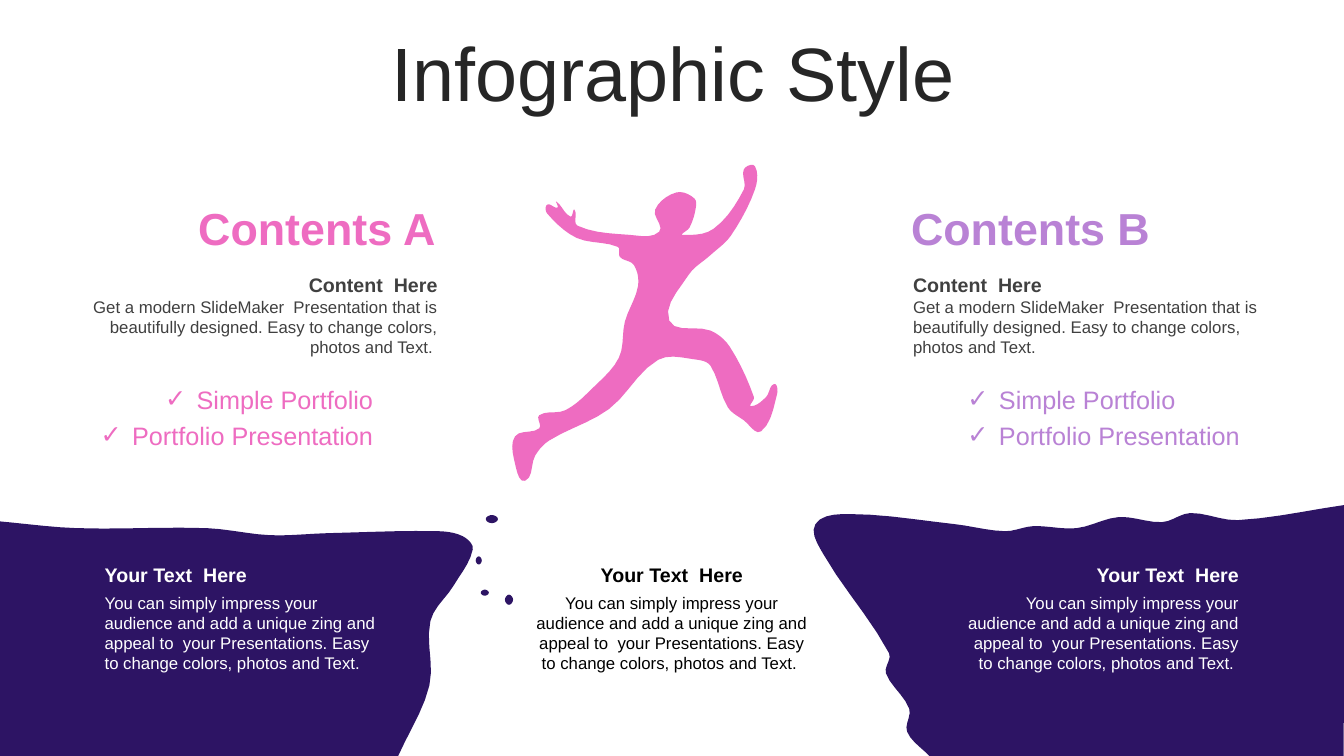
from math import hypot

from lxml import etree
from pptx import Presentation
from pptx.dml.color import RGBColor
from pptx.enum.text import MSO_ANCHOR, PP_ALIGN
from pptx.oxml.ns import qn
from pptx.util import Pt

LEFT, CENTER, RIGHT = PP_ALIGN.LEFT, PP_ALIGN.CENTER, PP_ALIGN.RIGHT
TOP, MIDDLE = MSO_ANCHOR.TOP, MSO_ANCHOR.MIDDLE
FONT = "Arial"
COLORS = {"title": "262626", "body": "404040", "pink": "EE6CC1", "lilac": "B982D5",
          "cliff": "2D1464", "white": "FFFFFF", "black": "000000"}

# Content
TITLE = "Infographic Style"
CONTENT_HEADING = "Content  Here"
CONTENT_TEXT = ("Get a modern SlideMaker  Presentation that is beautifully designed. "
                "Easy to change colors, photos and Text. ")
FOOT_HEADING = "Your Text  Here"
FOOT_TEXT = ("You can simply impress your audience and add a unique zing and appeal to  "
             "your Presentations. Easy to change colors, photos and Text. ")
CHECKS = ["Simple Portfolio", "Portfolio Presentation"]
# name, colour, alignment, then (left, width) of name, text and check list
SIDES = [
    ("Contents A", "pink", RIGHT, (103, 215.3), (42.5, 277.2), (-2.2, 275.8)),
    ("Contents B", "lilac", LEFT, (643.7, 223.2), (645.1, 272.2), (684, 275.8)),
]
FOOT_COLUMNS = [(LEFT, "white"), (CENTER, "black"), (RIGHT, "white")]

# Outlines, in units of 0.72 pt
UNIT = 0.72
RIGHT_CLIFF = [
    (922, 750), (900, 726), (902, 703), (879, 668), (882, 648), (817, 550), (809, 520),
    (842, 510), (947, 520), (997, 527), (1025, 522), (1068, 524), (1110, 513),
    (1153, 518), (1181, 509), (1228, 516), (1334, 501)]
RIGHT_CORNERS = [(1333, 753)]
LEFT_CLIFF = [
    (-3, 517), (76, 524), (205, 524), (268, 531), (325, 529), (434, 527), (459, 532),
    (469, 545), (450, 581), (427, 616), (426, 680), (395, 750)]
LEFT_CORNERS = [(-1, 750)]
JUMPER = [
    # open hand, arm, head
    (543, 212), (543, 203), (553, 206), (552, 200), (566, 215), (570, 208), (573, 224),
    (624, 233), (654, 230), (650, 208), (671, 191), (689, 197), (690, 208), (684, 226),
    (677, 233),
    # fist and sleeve
    (708, 227), (738, 188), (738, 168), (749, 165), (749, 188), (725, 234), (705, 253),
    (683, 273), (664, 318),
    # front leg and shoe
    (705, 328), (724, 344), (748, 394), (745, 403), (760, 394), (768, 381), (771, 391),
    (755, 428), (738, 417), (722, 404), (705, 363), (692, 357),
    # back leg and shoe
    (653, 357), (604, 406), (545, 437), (531, 452), (521, 477), (511, 460), (511, 433),
    (535, 425), (535, 412), (561, 407), (587, 386), (614, 355), (620, 319),
    # back, sleeve, arm
    (633, 284), (629, 263), (615, 255), (613, 245), (572, 236)]
# centre, half width, half height
PEBBLES = [(505, 595, 4, 5), (481, 588, 4, 3), (475, 556, 3, 4), (488, 515, 6, 4)]


def smooth(points, closed=True, steps=5):
    """Points along a cubic curve that passes through every given point."""
    count = len(points)

    def neighbour(index):
        return points[index % count] if closed else points[min(max(index, 0), count - 1)]

    def direction(index):
        (x1, y1), (x2, y2) = neighbour(index - 1), neighbour(index + 1)
        length = hypot(x2 - x1, y2 - y1) or 1
        return (x2 - x1) / length, (y2 - y1) / length

    curve = [points[0]]
    for index in range(count if closed else count - 1):
        start, end = points[index], neighbour(index + 1)
        reach = hypot(end[0] - start[0], end[1] - start[1]) / 3
        leave, arrive = direction(index), direction(index + 1)
        for step in range(1, steps + 1):
            t = step / steps
            u = 1 - t
            curve.append(tuple(
                u**3 * a + 3 * u * u * t * (a + reach * d) + 3 * u * t * t * (b - reach * e) + t**3 * b
                for a, b, d, e in zip(start, end, leave, arrive)))
    return curve


def add_outline(contours, color):
    scaled = [[(Pt(x * UNIT), Pt(y * UNIT)) for x, y in contour] for contour in contours]
    builder = slide.shapes.build_freeform(*scaled[0][0])
    for number, contour in enumerate(scaled):
        if number:
            builder.move_to(*contour[0])
        builder.add_line_segments(contour[1:], close=True)
    shape = builder.convert_to_shape()
    shape.shadow.inherit = False
    shape.fill.solid()
    shape.fill.fore_color.rgb = RGBColor.from_string(COLORS[color])
    shape.line.fill.background()


def add_text(text, box, size, color, align=LEFT, bold=False, anchor=TOP, spacing=None, check=False):
    frame = slide.shapes.add_textbox(*(Pt(length) for length in box)).text_frame
    frame.word_wrap = True
    frame.vertical_anchor = anchor
    paragraph = frame.paragraphs[0]
    if check:
        properties = paragraph._p.get_or_add_pPr()
        properties.set("marL", str(Pt(22.5)))
        properties.set("indent", str(Pt(-22.5)))
        etree.SubElement(properties, qn("a:buFont")).set("typeface", FONT)
        etree.SubElement(properties, qn("a:buChar")).set("char", "✓")
    paragraph.alignment = align
    if spacing:
        paragraph.line_spacing = spacing
    run = paragraph.add_run()
    run.text = text
    run.font.name, run.font.size, run.font.bold = FONT, Pt(size), bold
    run.font.color.rgb = RGBColor.from_string(COLORS[color])


presentation = Presentation()
presentation.slide_width, presentation.slide_height = Pt(960), Pt(540)
slide = presentation.slides.add_slide(presentation.slide_layouts[6])

# Title
add_text(TITLE, (25.2, 26.6, 911.5, 56.9), 54, "title", CENTER, anchor=MIDDLE, spacing=0.9)

# Cliffs, jumper and falling pebbles
add_outline([smooth(RIGHT_CLIFF, closed=False) + RIGHT_CORNERS], "cliff")
add_outline([smooth(LEFT_CLIFF, closed=False) + LEFT_CORNERS], "cliff")
add_outline([smooth(JUMPER)], "pink")
add_outline([smooth([(x - w, y), (x, y - h), (x + w, y), (x, y + h)])
             for x, y, w, h in PEBBLES], "cliff")

# Texts along the foot
for column, (align, color) in enumerate(FOOT_COLUMNS):
    left = 67.7 + column * 305.3
    add_text(FOOT_TEXT, (left, 419.8, 213.8, 65.5), 12, color, align)
    add_text(FOOT_HEADING, (left, 398.2, 213.8, 24.5), 14, color, align, bold=True)

# Contents on both sides
for name, color, align, (name_left, name_width), (left, width), (list_left, list_width) in SIDES:
    add_text(name, (name_left, 139.7, name_width, 46.1), 32, color, align, True, MIDDLE)
    add_text(CONTENT_HEADING, (left, 190.8, width, 24.5), 14, "body", align, True, MIDDLE)
    add_text(CONTENT_TEXT, (left, 208.1, width, 51.1), 12, "body", align)
    for row, label in enumerate(CHECKS):
        add_text(label, (list_left, 275 + row * 25.9, list_width, 24.5), 18, color, align,
                 spacing=0.8, check=True)

presentation.save("out.pptx")
